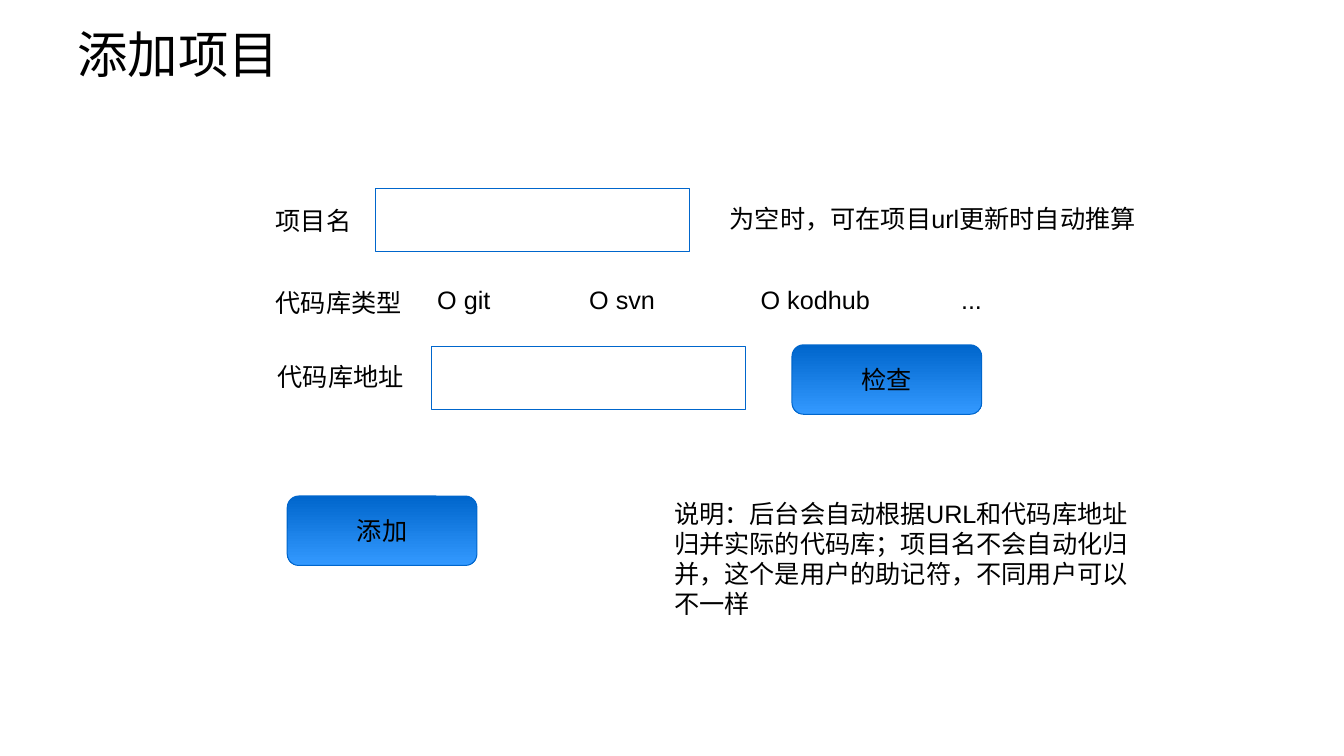
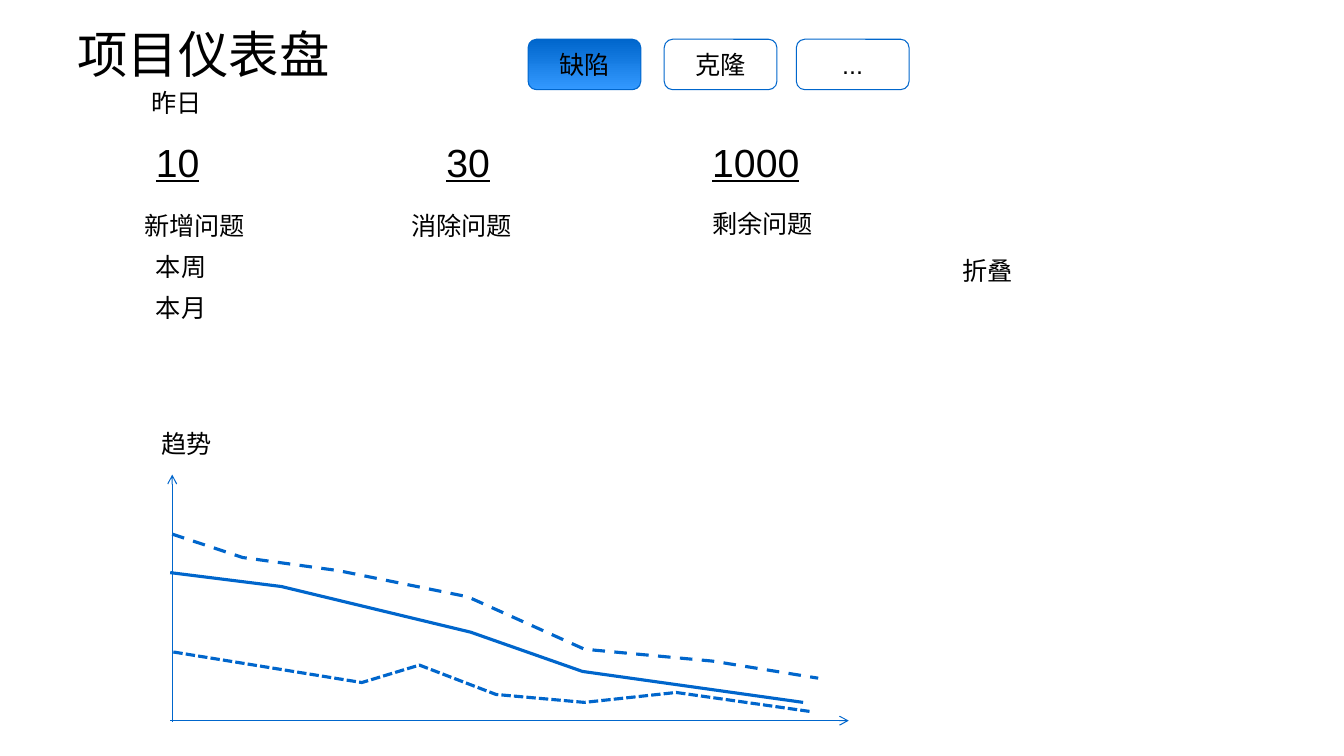
"""Build two wireframe slides: an add-project form and a project dashboard."""
from dataclasses import dataclass
from typing import Optional

import lxml.etree
import pptx
import pptx.dml.color
import pptx.dml.line
import pptx.enum.dml
import pptx.enum.shapes
import pptx.enum.text
import pptx.oxml.ns
import pptx.presentation
import pptx.shapes.base
import pptx.slide
import pptx.text.text
import pptx.util

Cm = pptx.util.Cm
Pt = pptx.util.Pt
RGBColor = pptx.dml.color.RGBColor
Kind = pptx.enum.shapes.MSO_SHAPE
Dash = pptx.enum.dml.MSO_LINE
Align = pptx.enum.text.PP_ALIGN
Fit = pptx.enum.text.MSO_AUTO_SIZE

BLUE = RGBColor(0x00, 0x66, 0xCC)
SKY = RGBColor(0x33, 0x99, 0xFF)
BLACK = RGBColor(0x00, 0x00, 0x00)
FONT = "Arial"
THIN = 0.75
THICK = 2.25


@dataclass
class Label:
    """A piece of text on the slide."""
    x: float
    y: float
    w: float
    text: str
    h: float = 1.02
    size: int = 18
    under: bool = False
    wrap: bool = False
    tabs: tuple[float, ...] = ()


@dataclass
class Button:
    """A rounded button, filled when active."""
    x: float
    y: float
    w: float
    h: float
    text: str
    full: bool = True


@dataclass
class Trend:
    """A hand-drawn line of the trend sketch."""
    dash: Optional[Dash]
    points: list[tuple[float, float]]


def write(par: pptx.text.text._Paragraph, text: str, size: int = 18, under: bool = False) -> None:
    """Add one run of black text."""
    run = par.add_run()
    run.text = text
    run.font.name = FONT
    run.font.size = Pt(size)
    run.font.color.rgb = BLACK
    if under:
        run.font.underline = True


def ink(line: pptx.dml.line.LineFormat, width: float) -> None:
    """Give a line the shared colour."""
    line.color.rgb = BLUE
    line.width = Pt(width)


def start(deck: pptx.presentation.Presentation, text: str) -> pptx.slide.Slide:
    """Add a slide with its title."""
    slide = deck.slides.add_slide(deck.slide_layouts[5])
    title = slide.shapes.title
    title.left, title.top, title.width, title.height = Cm(1.7), Cm(0.53), Cm(30.48), Cm(1.63)
    frame = title.text_frame
    frame.auto_size = Fit.NONE
    frame.vertical_anchor = pptx.enum.text.MSO_ANCHOR.MIDDLE
    frame.paragraphs[0].alignment = Align.LEFT
    write(frame.paragraphs[0], text, 36)
    return slide


def draw_label(slide: pptx.slide.Slide, item: Label) -> None:
    """Draw a text box, with tab stops if given."""
    box = slide.shapes.add_textbox(Cm(item.x), Cm(item.y), Cm(item.w), Cm(item.h))
    frame = box.text_frame
    frame.word_wrap = item.wrap
    frame.auto_size = Fit.SHAPE_TO_FIT_TEXT
    par = frame.paragraphs[0]
    par.alignment = Align.LEFT
    write(par, item.text, item.size, item.under)
    if item.tabs:
        qn = pptx.oxml.ns.qn
        stops = lxml.etree.SubElement(par._p.get_or_add_pPr(), qn("a:tabLst"))
        for stop in item.tabs:
            lxml.etree.SubElement(stops, qn("a:tab"), pos=str(int(Cm(stop))), algn="l")


def draw_shape(slide: pptx.slide.Slide, kind: Kind, x: float, y: float,
               w: float, h: float) -> pptx.shapes.base.BaseShape:
    """Draw an outlined shape without fill."""
    shape = slide.shapes.add_shape(kind, Cm(x), Cm(y), Cm(w), Cm(h))
    shape.shadow.inherit = False
    shape.fill.background()
    ink(shape.line, THIN)
    return shape


def draw_button(slide: pptx.slide.Slide, item: Button) -> None:
    """Draw a button with centred text."""
    shape = draw_shape(slide, Kind.ROUNDED_RECTANGLE, item.x, item.y, item.w, item.h)
    if item.full:
        shape.fill.gradient()
        shape.fill.gradient_angle = 270
        for stop, tint in zip(shape.fill.gradient_stops, (BLUE, SKY)):
            stop.color.rgb = tint
    frame = shape.text_frame
    frame.word_wrap = False
    frame.paragraphs[0].alignment = Align.CENTER
    write(frame.paragraphs[0], item.text)


def draw_axis(slide: pptx.slide.Slide, x: float, y: float, to_x: float, to_y: float) -> None:
    """Draw an axis with an arrowhead at its end."""
    axis = slide.shapes.add_connector(
        pptx.enum.shapes.MSO_CONNECTOR.STRAIGHT, Cm(x), Cm(y), Cm(to_x), Cm(to_y))
    ink(axis.line, THIN)
    qn = pptx.oxml.ns.qn
    props = axis.element.spPr
    lxml.etree.SubElement(props.find(qn("a:ln")), qn("a:tailEnd"), type="arrow")
    lxml.etree.SubElement(props, qn("a:effectLst"))


def draw_trend(slide: pptx.slide.Slide, item: Trend) -> None:
    """Draw an open line through its points."""
    first, *rest = [(Cm(x), Cm(y)) for x, y in item.points]
    pen = slide.shapes.build_freeform(*first)
    pen.add_line_segments(rest, close=False)
    shape = pen.convert_to_shape()
    shape.shadow.inherit = False
    shape.fill.background()
    ink(shape.line, THICK)
    if item.dash is not None:
        shape.line.dash_style = item.dash


def make_form(deck: pptx.presentation.Presentation) -> None:
    """Build the add-project form."""
    slide = start(deck, "添加项目")
    for x, y in ((9.47, 4.75), (10.87, 8.74)):
        draw_shape(slide, Kind.RECTANGLE, x, y, 7.92, 1.58)
    for item in (
        Label(6.7, 5.05, 2.41, "项目名"),
        Label(6.7, 7.11, 3.68, "代码库类型"),
        Label(18.14, 5, 10.74, "为空时，可在项目url更新时自动推算", wrap=True),
        Label(10.77, 7.04, 14.55, "O git\tO svn\tO kodhub\t...", tabs=(3.83, 8.15, 13.2)),
        Label(6.75, 8.97, 3.68, "代码库地址"),
        Label(16.74, 12.42, 12.09,
              "说明：后台会自动根据URL和代码库地址归并实际的代码库；"
              "项目名不会自动化归并，这个是用户的助记符，不同用户可以不一样",
              h=3.3, wrap=True),
    ):
        draw_label(slide, item)
    for x, y, text in ((19.96, 8.69, "检查"), (7.24, 12.5, "添加")):
        draw_button(slide, Button(x, y, 4.78, 1.75, text))


def make_board(deck: pptx.presentation.Presentation) -> None:
    """Build the project dashboard."""
    slide = start(deck, "项目仪表盘")
    for x, w, text in ((3.68, 2.49, "10"), (11, 2.49, "30"), (17.7, 3.91, "1000")):
        draw_label(slide, Label(x, 3.35, w, text, h=1.45, size=28, under=True, wrap=True))
    for item in (
        Label(3.38, 5.18, 3.05, "新增问题"),
        Label(10.11, 5.18, 3.05, "消除问题"),
        Label(17.7, 5.13, 3.05, "剩余问题"),
        Label(3.56, 2.08, 24.74, "昨日", wrap=True),
        Label(3.68, 6.2, 1.78, "本周"),
        Label(3.68, 7.24, 1.78, "本月"),
        Label(3.81, 10.67, 1.78, "趋势"),
        Label(24, 6.32, 1.78, "折叠"),
    ):
        draw_label(slide, item)
    draw_axis(slide, 4.29, 18.16, 21.39, 18.16)
    draw_axis(slide, 4.34, 18.19, 4.34, 11.96)
    for item in (
        Trend(Dash.SQUARE_DOT, [(4.37, 16.43), (9.12, 17.2), (10.57, 16.76), (12.5, 17.5),
                                (14.73, 17.7), (17.04, 17.45), (20.42, 17.93)]),
        Trend(None, [(4.29, 14.43), (7.09, 14.78), (11.86, 15.93), (14.68, 16.92),
                     (20.24, 17.7)]),
        Trend(Dash.DASH, [(4.34, 13.46), (6.12, 14.05), (8.53, 14.38), (11.79, 15.04),
                          (14.73, 16.36), (17.96, 16.66), (20.62, 17.09)]),
    ):
        draw_trend(slide, item)
    for x, text, full in ((13.31, "缺陷", True), (16.74, "克隆", False), (20.07, "...", False)):
        draw_button(slide, Button(x, 0.99, 2.84, 1.27, text, full))


def main() -> None:
    """Make and save the deck."""
    deck = pptx.Presentation()
    deck.slide_width, deck.slide_height = Cm(33.87), Cm(19.05)
    make_form(deck)
    make_board(deck)
    deck.save("out.pptx")


if __name__ == "__main__":
    main()
